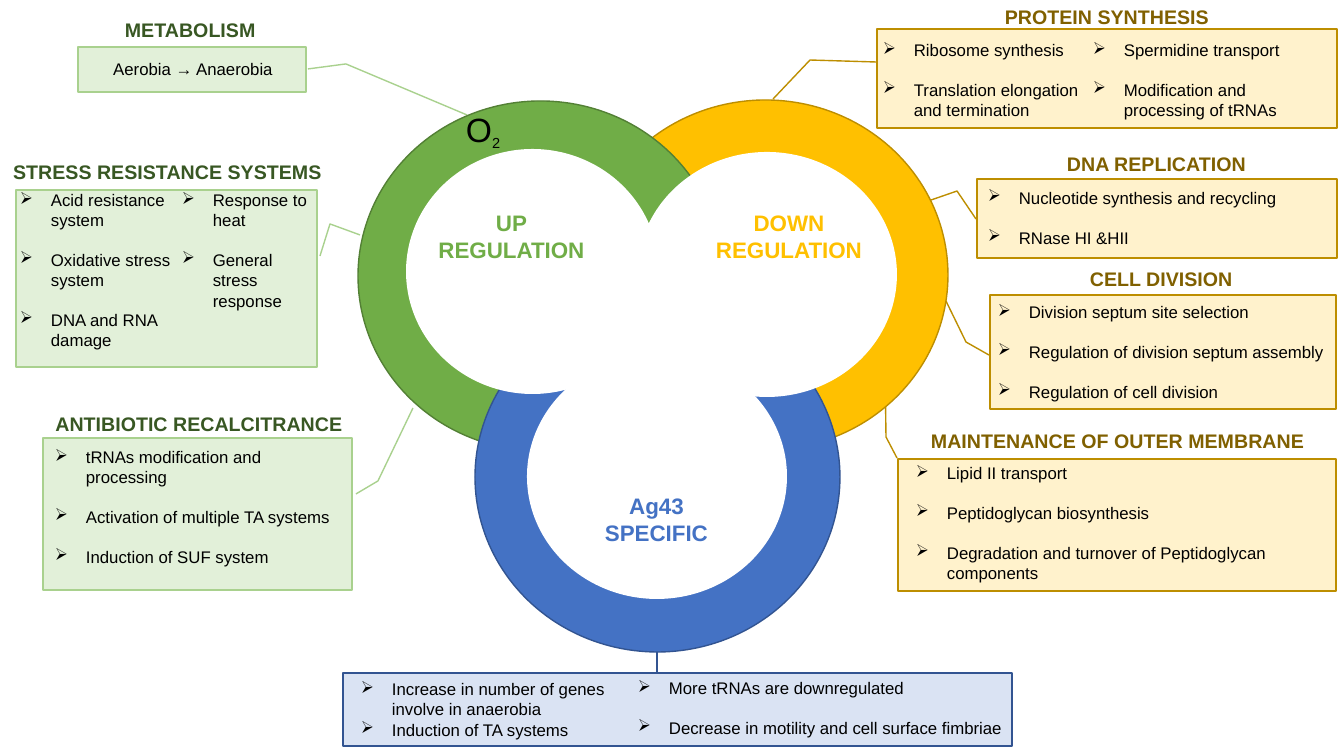
from lxml import etree
from pptx import Presentation
from pptx.dml.color import RGBColor
from pptx.enum import shapes, text
from pptx.oxml.ns import qn
from pptx.util import Emu, Pt

PX = 914400 / 100.8
HANG = 31
NARROW, WIDE = 31, 82
LINE_GAP = 14

GREEN = ("E2F0D9", "A9D18E", "385723")
GOLD = ("FFF2CC", "BD8E00", "806000")
BLUE = ("DAE3F3", "325491", "325491")

PANELS = [
    dict(look=GOLD, box=(877, 29, 460, 99), leader=[(876, 62), (810, 60), (773, 99)],
         heading=("PROTEIN SYNTHESIS", (995, 0, 225, 34), False),
         lists=[((822, 35, 290, 92), WIDE, LINE_GAP,
                 ["Ribosome synthesis", "Translation elongation and termination"]),
                ((1083, 35, 254, 112), NARROW, LINE_GAP,
                 ["Spermidine transport", "Modification and processing of tRNAs"])]),
    dict(look=GOLD, box=(977, 179, 360, 79), leader=[(976, 219), (957, 191), (931, 200)],
         heading=("DNA REPLICATION", (1057, 147, 213, 34), False),
         lists=[((927, 183, 398, 72), WIDE, LINE_GAP,
                 ["Nucleotide synthesis and recycling", "RNase HI &HII"])]),
    dict(look=GOLD, box=(990, 295, 346, 114), leader=[(989, 355), (966, 342), (946, 301)],
         heading=("CELL DIVISION", (1080, 262, 188, 34), False),
         lists=[((937, 297, 407, 112), WIDE, LINE_GAP,
                 ["Division septum site selection", "Regulation of division septum assembly",
                  "Regulation of cell division"])]),
    dict(look=GOLD, box=(898, 459, 438, 132), leader=[(897, 458), (886, 437), (885, 363)],
         heading=("MAINTENANCE OF OUTER MEMBRANE", (921, 424, 415, 34), False),
         lists=[((855, 458, 485, 132), WIDE, LINE_GAP,
                 ["Lipid II transport", "Peptidoglycan biosynthesis",
                  "Degradation and turnover of Peptidoglycan components"])]),
    dict(look=BLUE, box=(343, 673, 669, 73), leader=[(657, 672), (657, 634)],
         heading=None,
         lists=[((351, 674, 293, 72), NARROW, 0,
                 ["Increase in number of genes involve in anaerobia", "Induction of TA systems"]),
                ((628, 673, 415, 102), NARROW, LINE_GAP,
                 ["More tRNAs are downregulated", "Decrease in motility and cell surface fimbriae"])]),
    dict(look=GREEN, box=(78, 47, 228, 45), leader=[(308, 69), (346, 64), (467, 115)],
         heading=("METABOLISM", (115, 13, 225, 34), False), lists=[]),
    dict(look=GREEN, box=(16, 190, 301, 177), leader=[(320, 256), (330, 224), (360, 235)],
         heading=("STRESS RESISTANCE SYSTEMS", (-4, 155, 343, 34), True),
         lists=[((10, 185, 186, 173), NARROW, LINE_GAP,
                 ["Acid resistance system", "Oxidative stress system", "DNA and RNA damage"]),
                ((172, 185, 157, 163), NARROW, LINE_GAP,
                 ["Response to heat", "General stress response"])]),
    dict(look=GREEN, box=(43, 438, 309, 152), leader=[(356, 494), (378, 481), (413, 408)],
         heading=("ANTIBIOTIC RECALCITRANCE", (38, 407, 322, 34), True),
         lists=[((-6, 442, 353, 132), WIDE, LINE_GAP,
                 ["tRNAs modification and processing", "Activation of multiple TA systems",
                  "Induction of SUF system"])]),
]
AEROBIA = ("Aerobia → Anaerobia", (90, 54, 206, 30))

CIRCLES = [
    ((583, 100, 365, 350), "FFC000", "BD8E00"),
    ((358, 101, 365, 350), "70AD47", "538035"),
    ((475, 302, 365, 350), "4472C4", "325491"),
    ((527, 354, 260, 245), "FFFFFF", None),
    ((406, 149, 253, 245), "FFFFFF", None),
    ((637, 152, 260, 245), "FFFFFF", None),
    ((560, 229, 206, 199), "FFFFFF", None),
]
CIRCLE_LABELS = [
    (["UP", "REGULATION"], (420, 204, 183, 65), "70AD47"),
    (["DOWN", "REGULATION"], (693, 204, 192, 65), "FFC000"),
    (["Ag43 SPECIFIC"], (577, 487, 159, 65), "4472C4"),
]
OXYGEN_BOX = (456, 104, 64, 50)


def px(box):
    return [Emu(round(length * PX)) for length in box]


def colour(value):
    return RGBColor.from_string(value)


def paint(shape, fill, line):
    shape.shadow.inherit = False
    shape.fill.solid()
    shape.fill.fore_color.rgb = colour(fill)
    if line:
        shape.line.color.rgb = colour(line)
        shape.line.width = Pt(1)
    else:
        shape.line.fill.background()


def add_text(parent, box, lines, size, ink, bold=False, centred=False, indent=None, gap=0):
    frame = parent.add_textbox(*px(box)).text_frame
    frame.word_wrap = True
    for index, line in enumerate(lines):
        paragraph = frame.paragraphs[0] if index == 0 else frame.add_paragraph()
        paragraph.text = line
        if indent:
            properties = paragraph._p.get_or_add_pPr()
            properties.set("marL", str(round(indent * PX)))
            properties.set("indent", str(round(-HANG * PX)))
            etree.SubElement(properties, qn("a:buChar")).set("char", "➢")
        if centred:
            paragraph.alignment = text.PP_ALIGN.CENTER
        if index and gap:
            paragraph.space_before = Pt(gap)
        paragraph.font.name = "Arial"
        paragraph.font.size = Pt(size)
        paragraph.font.bold = bold
        paragraph.font.color.rgb = colour(ink)
    return frame


def add_panel(parent, panel):
    left, top, width, height = panel["box"]
    leader = panel["leader"]
    fill, line, ink = panel["look"]
    kinds = shapes.MSO_SHAPE
    kind = kinds.LINE_CALLOUT_1 if len(leader) == 2 else kinds.LINE_CALLOUT_2
    callout = parent.add_shape(kind, *px(panel["box"]))
    paint(callout, fill, line)
    for index, (x, y) in enumerate(leader):
        callout.adjustments[2 * index] = (y - top) / height
        callout.adjustments[2 * index + 1] = (x - left) / width
    if panel["heading"]:
        title, box, centred = panel["heading"]
        add_text(parent, box, [title], 14, ink, bold=True, centred=centred)
    for box, indent, gap, items in panel["lists"]:
        add_text(parent, box, items, 12, "000000", indent=indent, gap=gap)


def main():
    deck = Presentation()
    deck.slide_width, deck.slide_height = px((1344, 756))
    slide = deck.slides.add_slide(deck.slide_layouts[6])

    for panel in PANELS:
        add_panel(slide.shapes, panel)
    aerobia, aerobia_box = AEROBIA
    add_text(slide.shapes, aerobia_box, [aerobia], 12, "000000", centred=True)

    rings = slide.shapes.add_group_shape().shapes
    for box, fill, line in CIRCLES:
        paint(rings.add_shape(shapes.MSO_SHAPE.OVAL, *px(box)), fill, line)
    for lines, box, ink in CIRCLE_LABELS:
        add_text(rings, box, lines, 16, ink, bold=True, centred=True)

    oxygen = add_text(rings, OXYGEN_BOX, ["O"], 24, "000000").paragraphs[0]
    subscript = oxygen.add_run()
    subscript.text = "2"
    subscript.font.size = Pt(18)
    subscript.font._element.set("baseline", "-25000")

    deck.save("out.pptx")


if __name__ == "__main__":
    main()
